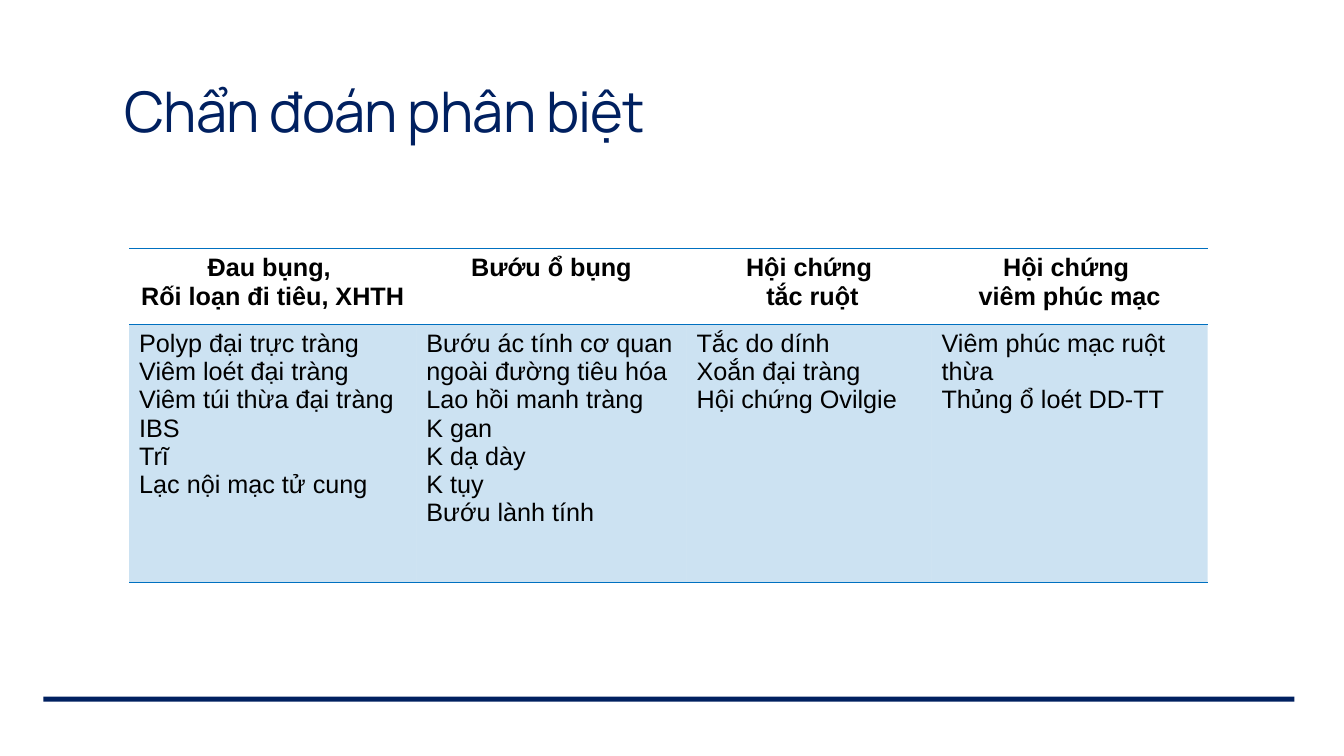
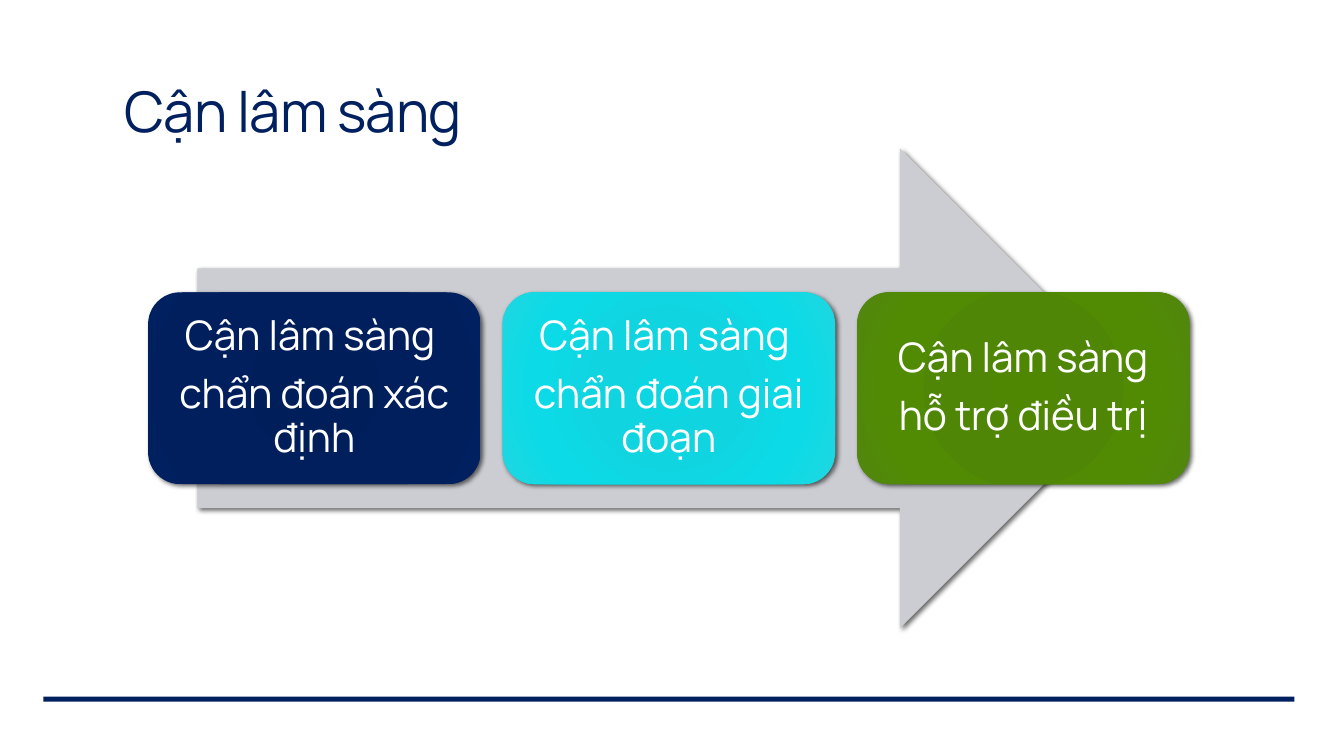
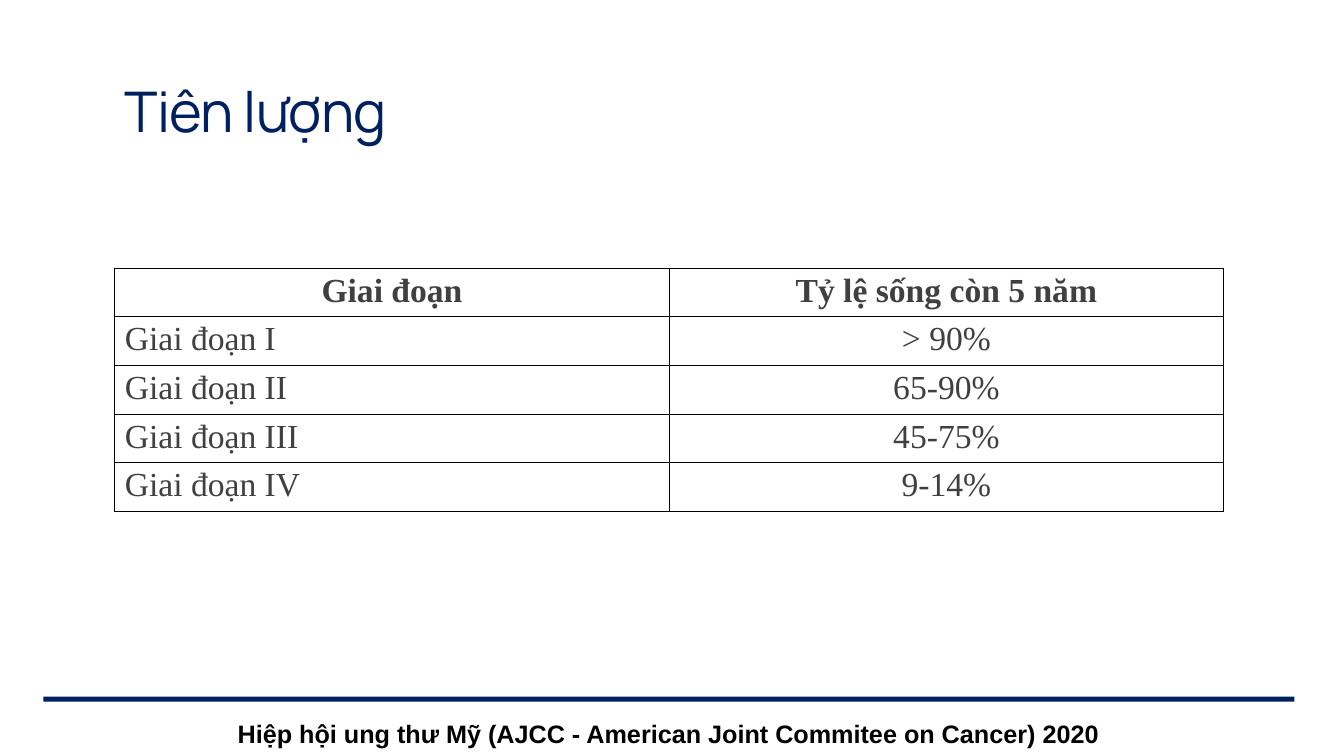
from lxml import etree
from pptx import Presentation
from pptx.dml.color import RGBColor
from pptx.enum.shapes import MSO_SHAPE as SHAPE
from pptx.enum.text import MSO_ANCHOR as ANCHOR, PP_ALIGN as ALIGN
from pptx.oxml import parse_xml
from pptx.oxml.ns import nsdecls, qn
from pptx.util import Pt

COLORS = {
    "navy": "002060", "blue": "0070C0", "black": "000000",
    "white": "FFFFFF", "gray": "404040", "arrow": "CCCDD2",
}
NO_STYLE = "{2D5ABB26-0587-4C30-8999-92F81FD0307C}"

DIAGNOSIS_TITLE = "Chẩn đoán phân biệt"
DIAGNOSES = [  # column width, heading lines, conditions
    (205.2, ["Đau bụng, ", "Rối loạn đi tiêu, XHTH"],
     ["Polyp đại trực tràng", "Viêm loét đại tràng", "Viêm túi thừa đại tràng",
      "IBS", "Trĩ", "Lạc nội mạc tử cung"]),
    (193, ["Bướu ổ bụng"],
     ["Bướu ác tính cơ quan ngoài đường tiêu hóa", "Lao hồi manh tràng",
      "K gan", "K dạ dày", "K tụy", "Bướu lành tính"]),
    (175, ["Hội chứng", " tắc ruột"],
     ["Tắc do dính", "Xoắn đại tràng", "Hội chứng Ovilgie"]),
    (197.3, ["Hội chứng ", "viêm phúc mạc"],
     ["Viêm phúc mạc ruột thừa", "Thủng ổ loét DD-TT"]),
]

TESTS_TITLE = "Cận lâm sàng"
TESTS = [  # lines, gradient colours from centre to edge
    (["Cận lâm sàng ", "chẩn đoán xác định"],
     ["001E59", "001E5A", "001F5C", "002060"]),
    (["Cận lâm sàng ", "chẩn đoán giai đoạn"],
     ["0CD6E1", "10D4DF", "0CDBE7", "1ED6E0"]),
    (["Cận lâm sàng", "hỗ trợ điều trị"],
     ["4F8703", "4F8606", "508B03", "53860F"]),
]
GRADIENT_STOPS = [0, 34, 70, 100]

PROGNOSIS_TITLE = "Tiên lượng"
SURVIVAL = [
    ("Giai đoạn", "Tỷ lệ sống còn 5 năm"),
    ("Giai đoạn I", "> 90%"),
    ("Giai đoạn II", "65-90%"),
    ("Giai đoạn III", "45-75%"),
    ("Giai đoạn IV", "9-14%"),
]
CITATION = "Hiệp hội ung thư Mỹ (AJCC - American Joint Commitee on Cancer) 2020"


def rgb(name):
    return RGBColor.from_string(COLORS[name])


def points(*values):
    return [Pt(value) for value in values]


def write(frame, lines, font, size, color, bold=None, align=ALIGN.LEFT,
          line_spacing=None, space_after=None):
    frame.word_wrap = True
    frame.text = "\n".join(lines)
    for paragraph in frame.paragraphs:
        paragraph.alignment = align
        paragraph.line_spacing = line_spacing
        paragraph.space_after = space_after
        for run in paragraph.runs:
            run.font.name = font
            run.font.size = Pt(size)
            run.font.bold = bold
            run.font.color.rgb = rgb(color)


def add_filled(slide, kind, box, color):
    shape = slide.shapes.add_shape(kind, *points(*box))
    shape.shadow.inherit = False
    shape.fill.solid()
    shape.fill.fore_color.rgb = rgb(color)
    shape.line.fill.background()
    return shape


def cast_shadow(shape, blur):
    effects = shape.element.spPr.find(qn("a:effectLst"))
    effects.append(parse_xml(
        f'<a:outerShdw {nsdecls("a")} blurRad="{Pt(blur)}" dist="{Pt(2)}" '
        f'dir="2700000" algn="ctr" rotWithShape="0"><a:srgbClr val="{COLORS["black"]}">'
        '<a:alpha val="60000"/></a:srgbClr></a:outerShdw>'))


def fill_radial(shape, colors):
    stops = "".join(
        f'<a:gs pos="{stop * 1000}"><a:srgbClr val="{color}"/></a:gs>'
        for stop, color in zip(GRADIENT_STOPS, colors))
    solid = shape.element.spPr.find(qn("a:solidFill"))
    solid.getparent().replace(solid, parse_xml(
        f'<a:gradFill {nsdecls("a")} rotWithShape="1"><a:gsLst>{stops}</a:gsLst>'
        '<a:path path="circle"><a:fillToRect l="100000" t="100000" '
        'r="100000" b="100000"/></a:path></a:gradFill>'))


def add_plain_table(slide, left, top, widths, heights):
    frame = slide.shapes.add_table(
        len(heights), len(widths),
        *points(left, top, sum(widths), sum(heights)))
    table = frame.table
    table.first_row = table.horz_banding = False
    for style in frame.element.iter(qn("a:tableStyleId")):
        style.text = NO_STYLE
    for column, width in zip(table.columns, widths):
        column.width = Pt(width)
    for row, height in zip(table.rows, heights):
        row.height = Pt(height)
    return table


def finish_cell(cell, sides, color, width, tint=None):
    """Draw borders on the sides (letters of LRTB), then fill the cell."""
    properties = cell._tc.get_or_add_tcPr()
    for side in sides:
        properties.append(parse_xml(
            f'<a:ln{side} {nsdecls("a")} w="{Pt(width)}"><a:solidFill>'
            f'<a:srgbClr val="{COLORS[color]}"/></a:solidFill></a:ln{side}>'))
    if tint is None:
        cell.fill.background()
        return
    cell.fill.solid()
    cell.fill.fore_color.rgb = rgb(color)
    fill_color = properties.find(f'{qn("a:solidFill")}/{qn("a:srgbClr")}')
    etree.SubElement(fill_color, qn("a:alpha")).set("val", str(tint * 1000))


def add_slide(deck, title):
    slide = deck.slides.add_slide(deck.slide_layouts[6])
    add_filled(slide, SHAPE.RECTANGLE, (31, 497.5, 893.5, 3.6), "navy")
    heading = slide.shapes.add_textbox(*points(82, 36.7, 792, 69.8)).text_frame
    write(heading, [title], "Manrope", 40, "navy", line_spacing=0.85)
    heading.vertical_anchor = ANCHOR.BOTTOM
    for run in heading.paragraphs[0].runs:
        run.font._element.set("spc", "-50")
    return slide


def build_diagnosis(deck):
    slide = add_slide(deck, DIAGNOSIS_TITLE)
    widths = [width for width, _, _ in DIAGNOSES]
    table = add_plain_table(slide, 92.2, 177.8, widths, [54, 184.3])
    for column, (_, heading, conditions) in enumerate(DIAGNOSES):
        head, body = table.cell(0, column), table.cell(1, column)
        write(head.text_frame, heading, "Arial", 18, "black", True, ALIGN.CENTER)
        write(body.text_frame, conditions, "Arial", 18, "black")
        finish_cell(head, "TB", "blue", 1)
        finish_cell(body, "TB", "blue", 1, tint=20)


def build_tests(deck):
    slide = add_slide(deck, TESTS_TITLE)
    arrow = add_filled(slide, SHAPE.RIGHT_ARROW, (141, 106, 673.2, 342.7), "arrow")
    cast_shadow(arrow, 3)
    left, width, gap = 105.8, 237.6, 15.6
    for index, (lines, gradient) in enumerate(TESTS):
        box = (left + index * (width + gap), 208.8, width, 137)
        card = add_filled(slide, SHAPE.ROUNDED_RECTANGLE, box, "navy")
        fill_radial(card, gradient)
        cast_shadow(card, 3.5)
        text = card.text_frame
        text.margin_left = text.margin_right = Pt(8.7)
        text.margin_top = text.margin_bottom = Pt(8.7)
        text.vertical_anchor = ANCHOR.MIDDLE
        write(text, lines, "Manrope", 29, "white", align=ALIGN.CENTER,
              line_spacing=0.9, space_after=Pt(10.2))


def build_prognosis(deck):
    slide = add_slide(deck, PROGNOSIS_TITLE)
    table = add_plain_table(slide, 82, 191.5, [396, 396], [33.8] * len(SURVIVAL))
    for row, values in enumerate(SURVIVAL):
        for column, value in enumerate(values):
            cell = table.cell(row, column)
            is_head = row == 0
            centred = is_head or column == 1
            cell.margin_top = cell.margin_bottom = Pt(3)
            write(cell.text_frame, [value], "Times New Roman", 24, "gray", is_head,
                  ALIGN.CENTER if centred else ALIGN.LEFT)
            finish_cell(cell, "LRTB", "black", 0.89)
    citation = slide.shapes.add_textbox(*points(162.7, 509.8, 634.3, 28.8))
    write(citation.text_frame, [CITATION], "Arial", 18, "black", True)


def main():
    deck = Presentation()
    deck.slide_width, deck.slide_height = points(960, 540)
    build_diagnosis(deck)
    build_tests(deck)
    build_prognosis(deck)
    deck.save("out.pptx")


if __name__ == "__main__":
    main()
